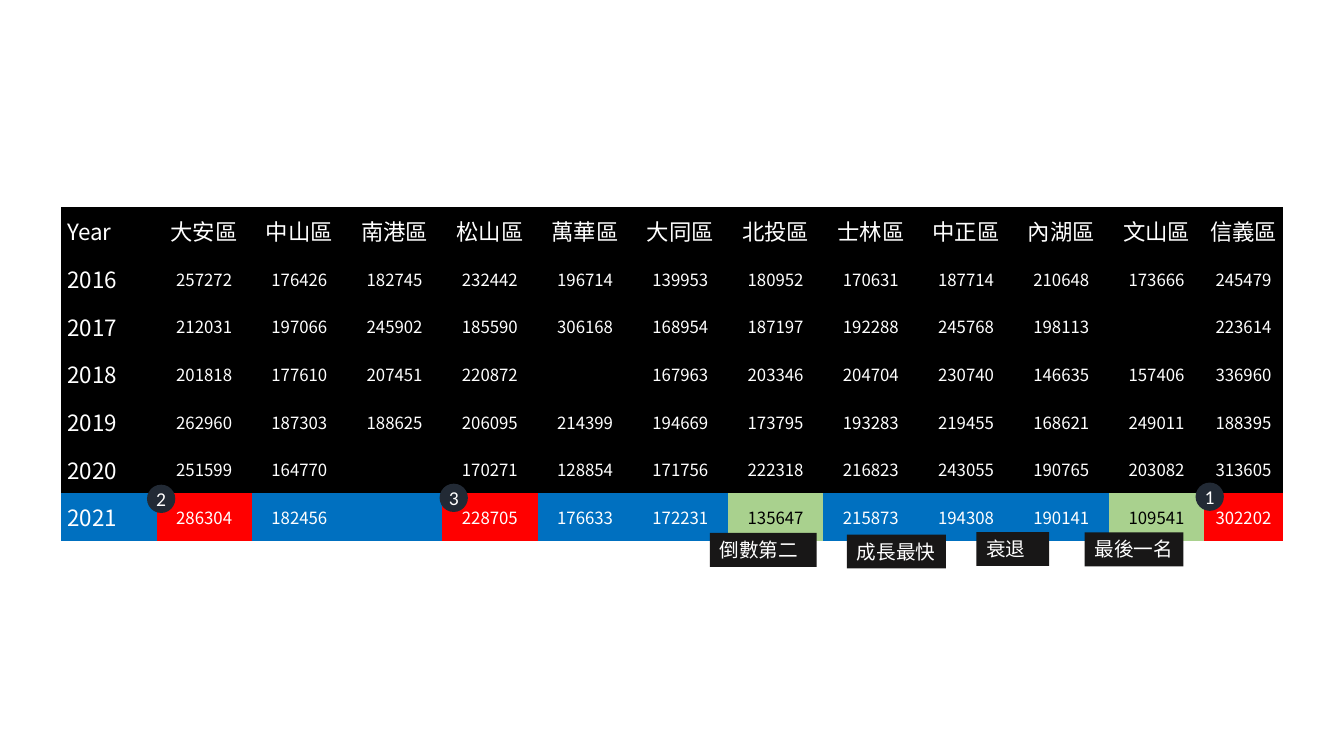
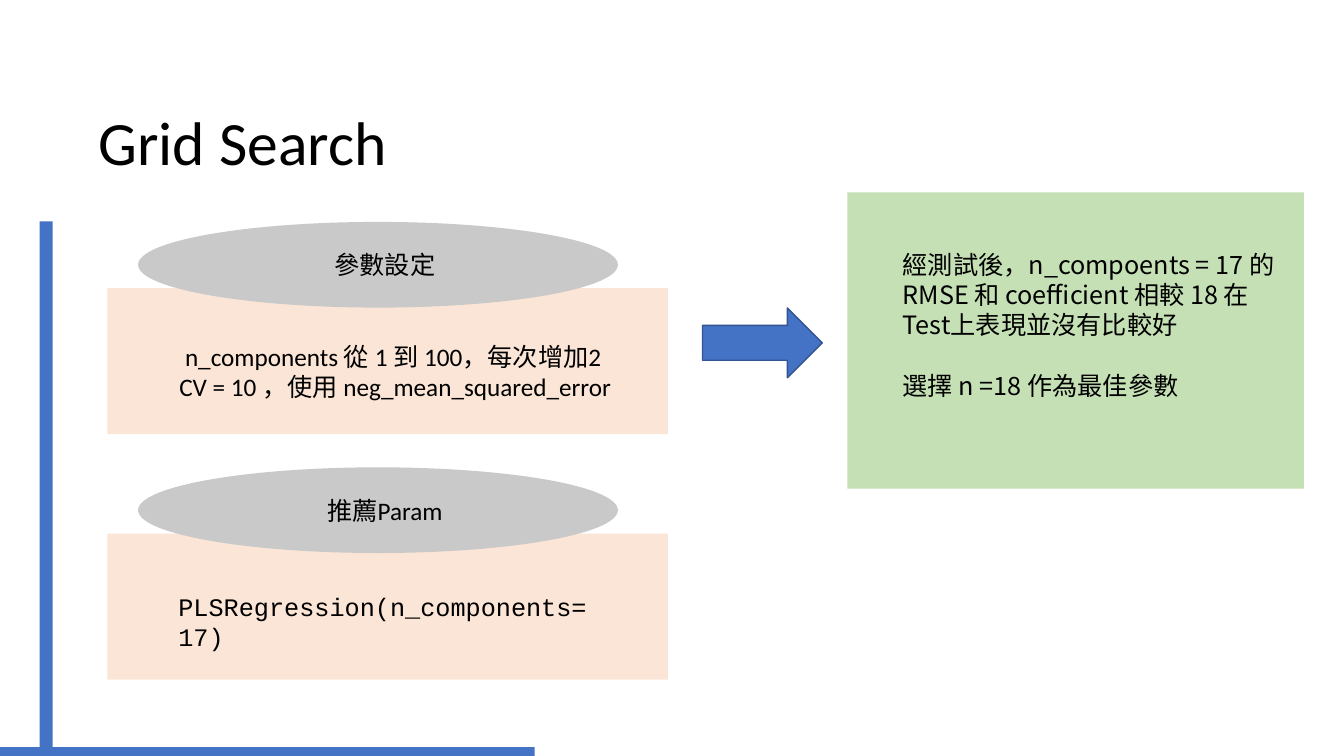
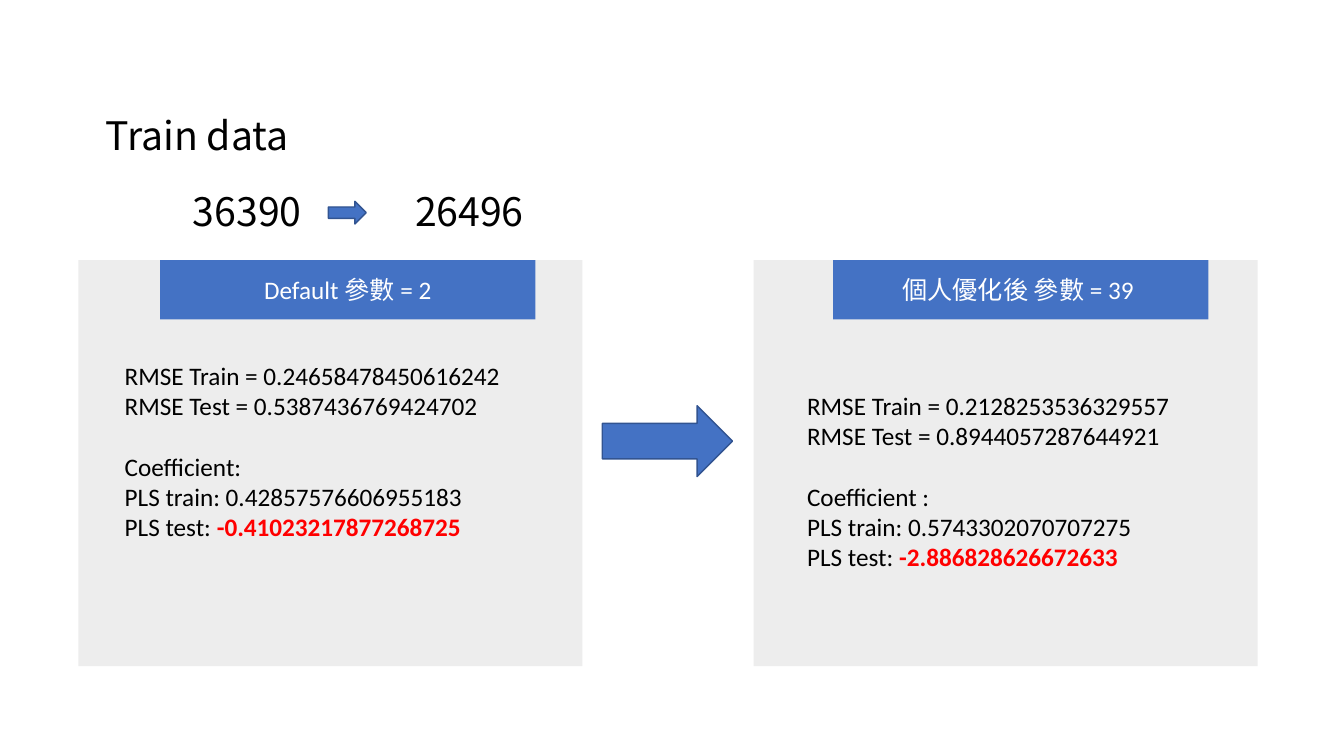
"""Build three slides: yearly district prices, grid search and training results."""
from lxml.etree import SubElement
from pptx import Presentation
from pptx.dml.color import RGBColor
from pptx.enum.shapes import MSO_SHAPE as Preset
from pptx.enum.text import MSO_ANCHOR as Anchor, PP_ALIGN as Align
from pptx.oxml.ns import qn
from pptx.util import Pt

SANS, CJK, MONO = "Calibri", "Noto Sans CJK SC", "Courier New"
BLACK, WHITE = RGBColor(0, 0, 0), RGBColor(255, 255, 255)
RED, BLUE = RGBColor(0xFF, 0, 0), RGBColor(0x44, 0x72, 0xC4)
BLUE_EDGE, ROW_BLUE = RGBColor(0x32, 0x54, 0x91), RGBColor(0, 0x70, 0xC0)
CELL_GREEN, PALE_GREEN = RGBColor(0xA9, 0xD1, 0x8E), RGBColor(0xC5, 0xE0, 0xB4)
PEACH, GRAY = RGBColor(0xFB, 0xE5, 0xD6), RGBColor(0xC9, 0xC9, 0xC9)
PALE_GRAY, NAVY = RGBColor(0xED, 0xED, 0xED), RGBColor(0x22, 0x2A, 0x35)
CHARCOAL = RGBColor(0x18, 0x17, 0x17)
NO_GRID_STYLE = "{2D5ABB26-0587-4C30-8999-92F81FD0307C}"
LINE_GAP = 22

DISTRICTS = ["大安區", "中山區", "南港區", "松山區", "萬華區", "大同區",
             "北投區", "士林區", "中正區", "內湖區", "文山區", "信義區"]
PRICES = {
    2016: [257272, 176426, 182745, 232442, 196714, 139953,
           180952, 170631, 187714, 210648, 173666, 245479],
    2017: [212031, 197066, 245902, 185590, 306168, 168954,
           187197, 192288, 245768, 198113, None, 223614],
    2018: [201818, 177610, 207451, 220872, None, 167963,
           203346, 204704, 230740, 146635, 157406, 336960],
    2019: [262960, 187303, 188625, 206095, 214399, 194669,
           173795, 193283, 219455, 168621, 249011, 188395],
    2020: [251599, 164770, None, 170271, 128854, 171756,
           222318, 216823, 243055, 190765, 203082, 313605],
    2021: [286304, 182456, None, 228705, 176633, 172231,
           135647, 215873, 194308, 190141, 109541, 302202],
}
HIGHLIGHT_YEAR = 2021
HIGHLIGHTS = {"大安區": RED, "松山區": RED, "信義區": RED,
              "北投區": CELL_GREEN, "文山區": CELL_GREEN}
TAGS = [("最後一名", 774.7, 380.3, 70.6), ("倒數第二", 507, 380.7, 76.4),
        ("成長最快", 605, 381.8, 70.6), ("衰退", 697.5, 380, 52)]
BADGES = [("1", 854, 344.7), ("2", 105, 346.2), ("3", 314, 345.5)]

STEPS = [
    (158.5, "參數設定", 121, 240, 356, SANS,
     [[" n_components 從 1 到 100，每次增加2",
       "CV = 10 ，使用 neg_mean_squared_error"]]),
    (333.8, "推薦Param", 120.3, 418.5, 314, MONO, [["PLSRegression(n_components=17)"]]),
]
CONCLUSION = [["經測試後，n_compoents = 17 的RMSE 和 coefficient 相較 18 在Test上表現並沒有比較好"],
              ["選擇 n =18 作為最佳參數"]]

COUNTS = [("Train data", 68.5, 76.2, 152), ("36390", 130.8, 130.2, 96.5),
          ("26496", 289.4, 130.2, 96.5)]
RESULTS = [
    (56, "Default 參數 = 2", 114.4, 82, 253.5,
     [["RMSE Train = 0.24658478450616242", "RMSE Test = 0.5387436769424702"],
      ["Coefficient:", "PLS train: 0.42857576606955183",
       ("PLS test: ", "-0.41023217877268725")]]),
    (538.4, "個人優化後 參數 = 39 ", 595.2, 569.4, 275,
     [["RMSE Train = 0.2128253536329557", "RMSE Test = 0.8944057287644921"],
      ["Coefficient :", "PLS train: 0.5743302070707275",
       ("PLS test: ", "-2.886828626672633")]]),
]


def style(paragraph, size, color=BLACK, name=SANS, align=Align.LEFT):
    font = paragraph.font
    font.size, font.name, font.color.rgb = Pt(size), name, color
    SubElement(font._element, qn("a:ea"), typeface=CJK)
    paragraph.alignment = align


def write(frame, blocks, size, wrap=True, **look):
    frame.word_wrap = wrap
    paragraph = None
    for number, block in enumerate(blocks):
        for position, line in enumerate(block):
            paragraph = frame.add_paragraph() if paragraph else frame.paragraphs[0]
            plain, strong = line if isinstance(line, tuple) else (line, None)
            paragraph.add_run().text = plain
            if strong:
                run = paragraph.add_run()
                run.text = strong
                run.font.bold, run.font.color.rgb = True, RED
            if number and not position:
                paragraph.space_before = Pt(LINE_GAP)
            style(paragraph, size, **look)


def add_text(slide, box, blocks, size, **look):
    frame = slide.shapes.add_textbox(*map(Pt, box)).text_frame
    write(frame, blocks, size, **look)
    return frame


def add_block(slide, preset, box, fill, edge=None):
    shape = slide.shapes.add_shape(preset, *map(Pt, box))
    shape.shadow.inherit = False
    shape.fill.solid()
    shape.fill.fore_color.rgb = fill
    if edge:
        shape.line.color.rgb, shape.line.width = edge, Pt(1)
    else:
        shape.line.fill.background()
    return shape


def add_arrow(slide, box):
    add_block(slide, Preset.RIGHT_ARROW, box, BLUE, BLUE_EDGE)


def fill_cell(cell, text, size, fill, align):
    cell.fill.solid()
    cell.fill.fore_color.rgb = fill
    cell.vertical_anchor = Anchor.MIDDLE
    cell.margin_left = cell.margin_right = cell.margin_top = Pt(0.7)
    cell.margin_bottom = Pt(0)
    cell.text = text
    style(cell.text_frame.paragraphs[0], size,
          BLACK if fill == CELL_GREEN else WHITE, CJK, align)


def build_prices(slide):
    rows = [("Year", DISTRICTS), *PRICES.items()]
    widths = [68.05] * len(DISTRICTS) + [56.2]
    height = 34.05
    table = slide.shapes.add_table(
        len(rows), len(widths), Pt(43.8), Pt(147.8),
        Pt(sum(widths)), Pt(height * len(rows))).table
    table._tbl.tblPr.find(qn("a:tableStyleId")).text = NO_GRID_STYLE
    table.first_row = table.horz_banding = False
    for column, width in zip(table.columns, widths):
        column.width = Pt(width)
    for index, (label, values) in enumerate(rows):
        table.rows[index].height = Pt(height)
        chosen = label == HIGHLIGHT_YEAR
        base = ROW_BLUE if chosen else BLACK
        fill_cell(table.cell(index, 0), f" {label}", 16, base, Align.LEFT)
        for number, (district, value) in enumerate(zip(DISTRICTS, values), 1):
            fill_cell(table.cell(index, number), "" if value is None else str(value),
                      12 if index else 16,
                      HIGHLIGHTS.get(district, base) if chosen else base, Align.CENTER)
    for text, left, top, width in TAGS:
        tag = add_block(slide, Preset.RECTANGLE, (left, top, width, 24.3), CHARCOAL)
        tag.text_frame.vertical_anchor = Anchor.TOP
        write(tag.text_frame, [[text]], 14, wrap=False, color=WHITE)
    for text, left, top in BADGES:
        badge = add_block(slide, Preset.OVAL, (left, top, 20.2, 20.2), NAVY)
        frame = badge.text_frame
        frame.margin_left = frame.margin_right = frame.margin_top = frame.margin_bottom = 0
        write(frame, [[text]], 14, wrap=False, color=WHITE, align=Align.CENTER)


def build_grid_search(slide):
    for bar in [(28.3, 158.2, 9.4, 381.8), (0, 533.7, 382, 6.3)]:
        add_block(slide, Preset.RECTANGLE, bar, BLUE)
    title = add_text(slide, (63.4, 76.3, 352, 61.2), [["Grid Search"]], 44)
    title.paragraphs[0].line_spacing = 0.9
    for top, heading, left, text_top, width, name, blocks in STEPS:
        add_block(slide, Preset.RECTANGLE, (76.8, top + 47.3, 400.3, 104.4), PEACH)
        oval = add_block(slide, Preset.OVAL, (98.6, top, 342.8, 61.2), GRAY)
        oval.text_frame.margin_left = Pt(17)
        write(oval.text_frame, [[heading]], 18, align=Align.CENTER)
        add_text(slide, (left, text_top, width, 51), blocks, 18, name=name)
    add_arrow(slide, (501.8, 220, 85.6, 49.8))
    add_block(slide, Preset.RECTANGLE, (605.3, 137.4, 326, 211.6), PALE_GREEN)
    add_text(slide, (637.7, 174.2, 280, 116.6), CONCLUSION, 18, name=CJK)


def build_train_data(slide):
    for text, left, top, width in COUNTS:
        add_text(slide, (left, top, width, 41), [[text]], 28, wrap=False, name=CJK)
    add_arrow(slide, (234.6, 143.8, 27, 16.2))
    for left, heading, heading_left, text_left, text_top, blocks in RESULTS:
        add_block(slide, Preset.RECTANGLE, (left, 185.8, 360, 290), PALE_GRAY)
        banner = add_block(slide, Preset.RECTANGLE, (heading_left, 185.8, 268, 42.3), BLUE)
        write(banner.text_frame, [[heading]], 18, color=WHITE, align=Align.CENTER)
        add_text(slide, (text_left, text_top, 312, 138), blocks, 18)
    add_arrow(slide, (430.2, 289.8, 93, 50.6))


def main():
    presentation = Presentation()
    presentation.slide_width, presentation.slide_height = Pt(960), Pt(540)
    for build in (build_prices, build_grid_search, build_train_data):
        build(presentation.slides.add_slide(presentation.slide_layouts[6]))
    presentation.save("out.pptx")


if __name__ == "__main__":
    main()
